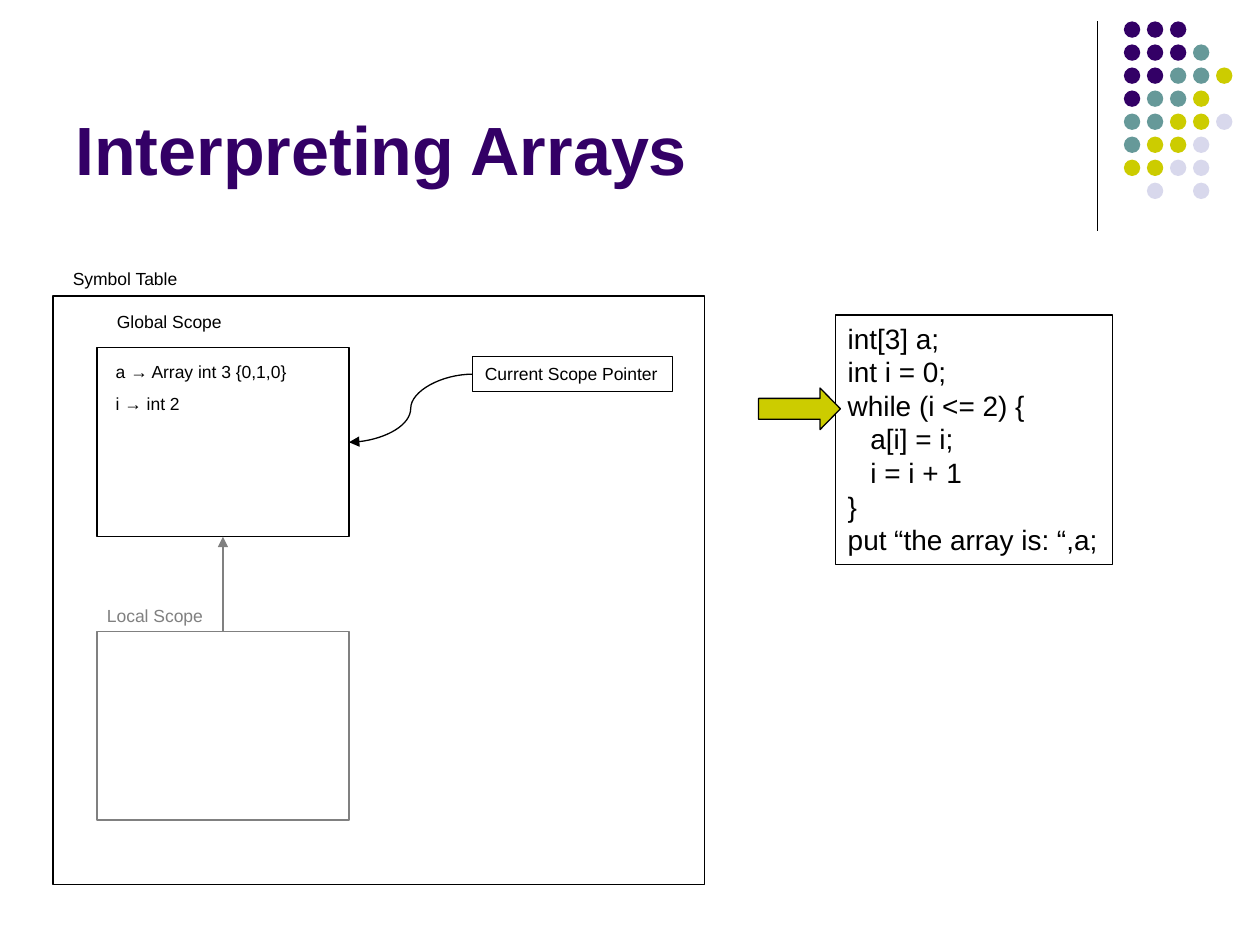
from lxml.etree import SubElement as Sub
from pptx import Presentation
from pptx.dml.color import RGBColor as RGB
from pptx.enum.shapes import MSO_CONNECTOR as CON, MSO_SHAPE as SHP
from pptx.enum.text import MSO_ANCHOR as ANC
from pptx.oxml.ns import qn
from pptx.util import Inches, Pt

# Content: places are left, top, width, height on a grid of 100 columns by 75 rows
INK = {"black": "000000", "gray": "808080", "plum": "330066",
       "teal": "669999", "lime": "CCCC00", "mist": "D8D8EC"}
TITLE = ("Interpreting Arrays", (5, 1.3, 82.5, 14.2))
DOTS = ["PPP", "PPPT", "PPTTL", "PTTL", "TTLLM", "TLLM", "LLMM", " M M"]
DOT_INK = {"P": "plum", "T": "teal", "L": "lime", "M": "mist"}
BOXES = {
    "table": ((4.2, 23.5, 51.7, 46.7), "black"),
    "global": ((7.7, 27.6, 20, 15), "black"),
    "local": ((7.7, 50.1, 20, 15), "gray"),
    "pointer": ((37.5, 28.3, 15.9, 2.8), "black"),
    "code": ((66.3, 25, 22, 19.8), "black"),
}
LABELS = [
    ("Global Scope", (8.3, 24.2, 10.3, 2.7), "black"),
    ("Local Scope", (7.5, 47.5, 10.1, 2.7), "gray"),
    ("Symbol Table", (4.8, 20.8, 10.5, 2.7), "black"),
    ("a → Array int 3 {0,1,0}", (8.2, 28.2, 18.5, 2.7), "black"),
    ("i → int 2", (8.2, 30.7, 18.5, 2.7), "black"),
]
CODE = [("int[3] a;", 0), ("int i = 0;", 0), ("while (i <= 2) {", 0),
        ("a[i] = i;", 1), ("i = i + 1", 1), ("}", 0),
        ("put “the array is: “,a;", 0)]
# kind, from box and site, to box and site, ink
LINKS = [(CON.STRAIGHT, "local", 0, "global", 2, "gray"),
         (CON.CURVE, "pointer", 1, "global", 3, "black")]

deck = Presentation()
deck.slide_width, deck.slide_height = Inches(10), Inches(7.5)
slide = deck.slides.add_slide(deck.slide_layouts[6])
art = slide.shapes
UNIT = deck.slide_width / 100


def grid(*vals):
    return [round(v * UNIT) for v in vals]


def color(ink):
    return RGB.from_string(INK[ink])


def draw(kind, at, fill=None, line=None):
    shape = art.add_shape(kind, *grid(*at))
    shape.shadow.inherit = False
    if fill:
        shape.fill.solid()
        shape.fill.fore_color.rgb = color(fill)
    else:
        shape.fill.background()
    if line:
        shape.line.color.rgb = color(line)
        shape.line.width = Pt(0.75)
    else:
        shape.line.fill.background()
    return shape


def write(shape, rows, size=10, ink="black", bold=False, wrap=False,
          anchor=ANC.TOP):
    frame = shape.text_frame
    frame.word_wrap, frame.vertical_anchor = wrap, anchor
    for n, (text, level) in enumerate(rows):
        para = frame.add_paragraph() if n else frame.paragraphs[0]
        props = para._p.get_or_add_pPr()
        props.set("algn", "l")
        if level:
            props.set("marL", str(Inches(0.18 * level)))
        run = para.add_run()
        run.text = text
        run.font.name, run.font.size, run.font.bold = "Arial", Pt(size), bold
        run.font.color.rgb = color(ink)


def join(kind, ends, ink):
    link = art.add_connector(kind, *grid(*ends))
    link.line.color.rgb = color(ink)
    link.line.width = Pt(0.75)
    Sub(link._element.spPr, qn("a:effectLst"))
    return link


# Corner rule and dots
join(CON.STRAIGHT, (87.1, 1.7, 87.1, 18.3), "black")
STEP = 12.8 / 7
for r, row in enumerate(DOTS):
    for c, key in enumerate(row):
        if key in DOT_INK:
            draw(SHP.OVAL, (89.2 + c * STEP, 1.7 + r * STEP, 1.3, 1.3),
                 DOT_INK[key])

# Title
text, at = TITLE
write(art.add_textbox(*grid(*at)), [(text, 0)], size=39, ink="plum",
      bold=True, wrap=True, anchor=ANC.BOTTOM)

# Boxes, links and the step arrow
box = {name: draw(SHP.RECTANGLE, at, line=ink)
       for name, (at, ink) in BOXES.items()}
for kind, src, out, dest, into, ink in LINKS:
    link = join(kind, (0, 0, 1, 1), ink)
    link.begin_connect(box[src], out)
    link.end_connect(box[dest], into)
    Sub(link.line._get_or_add_ln(), qn("a:tailEnd"), type="triangle")
arrow = draw(SHP.RIGHT_ARROW, (60.2, 30.8, 6.5, 3.3), "lime", "black")
arrow.adjustments[1] = 0.49

# Words
write(box["pointer"], [("Current Scope Pointer", 0)])
write(box["code"], CODE, size=16)
for text, at, ink in LABELS:
    write(art.add_textbox(*grid(*at)), [(text, 0)], ink=ink, wrap=at[2] > 15)

deck.save("out.pptx")
